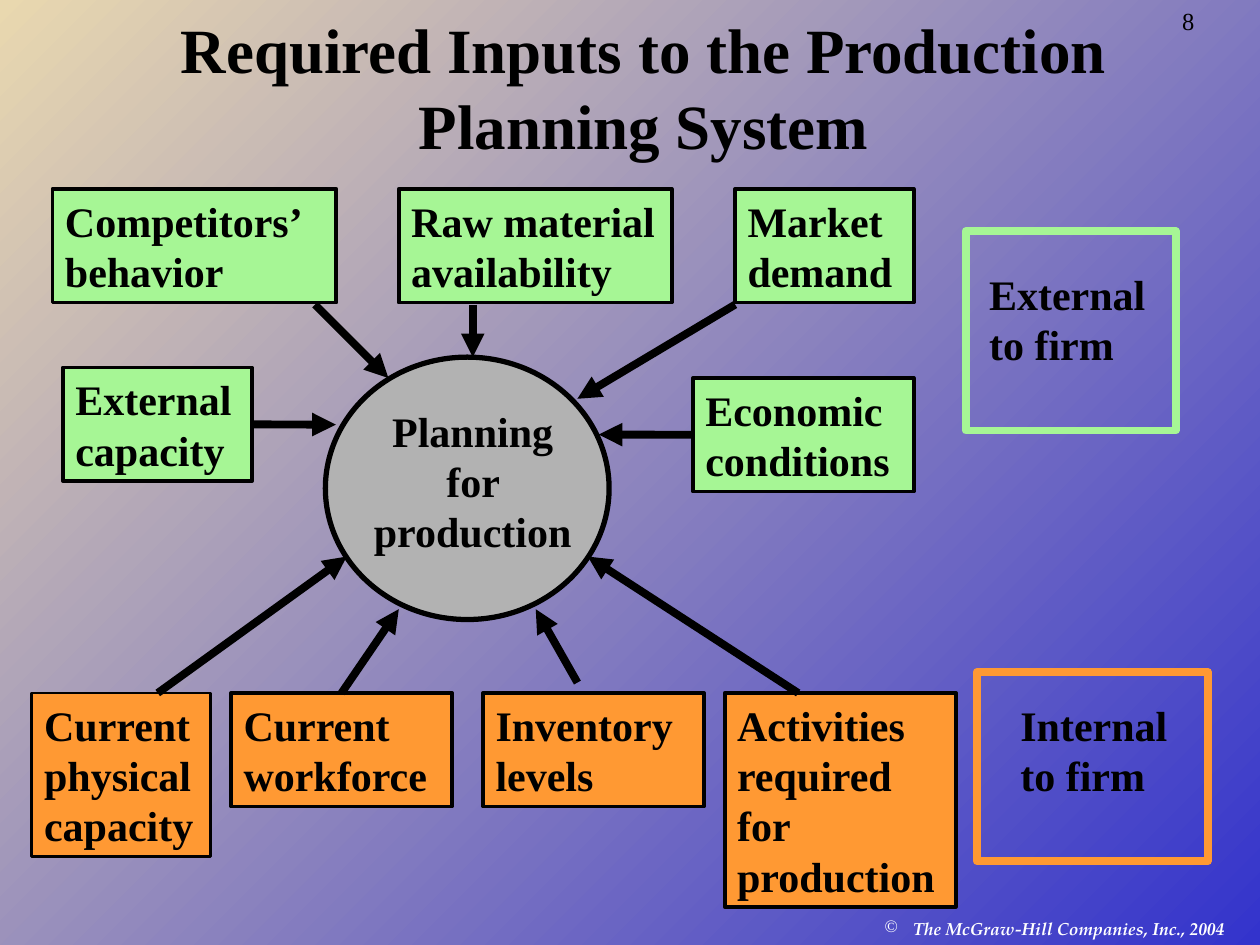
import pptx
import pptx.dml.color
import pptx.enum.shapes
import pptx.enum.text
import pptx.oxml
import pptx.oxml.ns
import pptx.util
from pptx.util import Cm

RGBColor = pptx.dml.color.RGBColor
BLACK = RGBColor(0x00, 0x00, 0x00)
WHITE = RGBColor(0xFF, 0xFF, 0xFF)
GREEN = RGBColor(0xA6, 0xF6, 0x95)
ORANGE = RGBColor(0xFF, 0x99, 0x33)
GRAY = RGBColor(0xB2, 0xB2, 0xB2)
BLUE = RGBColor(0x33, 0x33, 0xCC)
SAND = RGBColor(0xE9, 0xD8, 0xAF)

SHAPES = pptx.enum.shapes.MSO_SHAPE
ALIGN = pptx.enum.text.PP_ALIGN
ANCHOR = pptx.enum.text.MSO_ANCHOR
BODY_FONT = "Times New Roman"
TOP_ROW, BOTTOM_ROW = 3.81, 13.97
BOTTOM_SITE, LEFT_SITE, RIGHT_SITE, TOP_SITE = 2, 1, 3, 0

# text, left, top, width, line count, fill, border, arrow start, arrow end
# An arrow start is a point or the connection site of the box.
INPUTS = [
    (["External capacity"], 1.27, 7.41, 3.81, 2, GREEN, 2.25, RIGHT_SITE, (6.77, 8.56)),
    (["Competitors’", "behavior"], 1.06, TOP_ROW, 5.72, 2, GREEN, 2.25, (6.35, 6.14), (7.83, 7.62)),
    (["Raw material availability"], 8.04, TOP_ROW, 5.5, 2, GREEN, 2.25, (9.53, 6.14), (9.53, 7.2)),
    (["Market", "demand"], 14.82, TOP_ROW, 3.6, 2, GREEN, 2.25, (14.82, 6.14), (11.64, 8.04)),
    (["Economic conditions"], 13.97, 7.62, 4.45, 2, GREEN, 2.25, LEFT_SITE, (12.07, 8.76)),
    (["Current", "physical", "capacity"], 0.64, BOTTOM_ROW, 3.6, 3, ORANGE, 1.5,
     (3.18, 13.97), (6.99, 11.22)),
    (["Current workforce"], 4.66, BOTTOM_ROW, 4.45, 2, ORANGE, 2.25, TOP_SITE, (8.04, 12.28)),
    (["Inventory levels"], 9.74, BOTTOM_ROW, 4.45, 2, ORANGE, 2.25, (11.64, 13.76), (10.8, 12.28)),
    (["Activities required for production"], 14.61, BOTTOM_ROW, 4.66, 4, ORANGE, 2.25,
     (16.09, 13.97), (11.85, 11.22)),
]


def text_height(line_count):
    """Height in cm of a box with that many lines of 24 point text."""
    return 0.27 + 1.01 * line_count


def write_text(shape, lines, size=24, bold=True, color=BLACK, font=BODY_FONT,
               align=ALIGN.LEFT, anchor=ANCHOR.TOP, wrap=True):
    """Put each line in a paragraph of its own and return the last run."""
    frame = shape.text_frame
    frame.word_wrap = wrap
    frame.vertical_anchor = anchor
    for index, line in enumerate(lines):
        paragraph = frame.add_paragraph() if index else frame.paragraphs[0]
        paragraph.alignment = align
        run = paragraph.add_run()
        run.text = line
        run.font.size = pptx.util.Pt(size)
        run.font.bold = bold
        run.font.name = font
        run.font.color.rgb = color
    return run


def add_label(slide, lines, left, top, width, height, **style):
    label = slide.shapes.add_textbox(Cm(left), Cm(top), Cm(width), Cm(height))
    return label, write_text(label, lines, **style)


def add_outlined(slide, kind, left, top, width, height, fill, line, weight):
    shape = slide.shapes.add_shape(kind, Cm(left), Cm(top), Cm(width), Cm(height))
    shape.shadow.inherit = False
    if fill is None:
        shape.fill.background()
    else:
        shape.fill.solid()
        shape.fill.fore_color.rgb = fill
    shape.line.color.rgb = line
    shape.line.width = pptx.util.Pt(weight)
    return shape


def add_arrow(slide, box, start, end):
    is_site = isinstance(start, int)
    begin = end if is_site else start
    arrow = slide.shapes.add_connector(
        pptx.enum.shapes.MSO_CONNECTOR.STRAIGHT, *(Cm(value) for value in (*begin, *end)))
    if is_site:
        arrow.begin_connect(box, start)
    arrow.line.color.rgb = BLACK
    arrow.line.width = pptx.util.Pt(4.5)
    line = arrow.line._get_or_add_ln()
    line.append(pptx.oxml.parse_xml(
        f'<a:tailEnd {pptx.oxml.ns.nsdecls("a")} type="triangle"/>'))
    line.addnext(pptx.oxml.parse_xml(f'<a:effectLst {pptx.oxml.ns.nsdecls("a")}/>'))


def add_input(slide, lines, left, top, width, line_count, fill, border, start, end):
    box = add_outlined(slide, SHAPES.RECTANGLE, left, top, width,
                       text_height(line_count), fill, BLACK, border)
    write_text(box, lines)
    add_arrow(slide, box, start, end)


def add_title(slide, text):
    title = slide.shapes.title
    title.left, title.top, title.width, title.height = Cm(1.48), Cm(0), Cm(22.99), Cm(3.39)
    write_text(title, [text], size=36, align=ALIGN.CENTER, anchor=ANCHOR.BOTTOM)


def add_copyright(slide):
    """Add the footer line, with the copyright sign as its bullet."""
    label, run = add_label(slide, ["The McGraw-Hill Companies, Inc., 2004"],
                           17.58, 18.38, 7.82, 0.66,
                           size=10, color=WHITE, font="TeX Gyre Pagella")
    run.font.italic = True
    properties = label.text_frame.paragraphs[0]._p.get_or_add_pPr()
    properties.set("marL", str(Cm(0.58)))
    properties.set("indent", str(-Cm(0.58)))
    namespace = pptx.oxml.ns.nsdecls("a")
    for bullet_part in (f'<a:buClr {namespace}><a:srgbClr val="{WHITE}"/></a:buClr>',
                        f'<a:buChar {namespace} char="©"/>'):
        properties.append(pptx.oxml.parse_xml(bullet_part))


def set_background(slide):
    fill = slide.background.fill
    fill.gradient()
    fill.gradient_angle = 135
    for stop, color in zip(fill.gradient_stops, (BLUE, SAND)):
        stop.color.rgb = color


def main():
    presentation = pptx.Presentation()
    presentation.slide_width, presentation.slide_height = Cm(25.4), Cm(19.05)
    slide = presentation.slides.add_slide(presentation.slide_layouts[5])
    set_background(slide)
    add_copyright(slide)
    add_label(slide, ["8"], 23.58, 0, 1.7, 0.79, size=14, bold=False, wrap=False)
    add_title(slide, "Required Inputs to the Production Planning System")

    add_outlined(slide, SHAPES.OVAL, 6.56, 7.2, 5.72, 5.29, GRAY, BLACK, 3)
    add_label(slide, ["Planning for production"], 7.2, 8.04, 4.66, text_height(3),
              align=ALIGN.CENTER)
    for planning_input in INPUTS:
        add_input(slide, *planning_input)

    add_label(slide, ["External to firm"], 19.69, 5.29, 4.23, text_height(2))
    add_label(slide, ["Internal to firm"], 20.32, 13.97, 3.81, text_height(2))
    add_outlined(slide, SHAPES.RECTANGLE, 19.69, 13.55, 4.66, 3.81, None, ORANGE, 4.5)
    add_outlined(slide, SHAPES.RECTANGLE, 19.47, 4.66, 4.23, 4.02, None, GREEN, 4.5)
    presentation.save("out.pptx")


if __name__ == "__main__":
    main()
